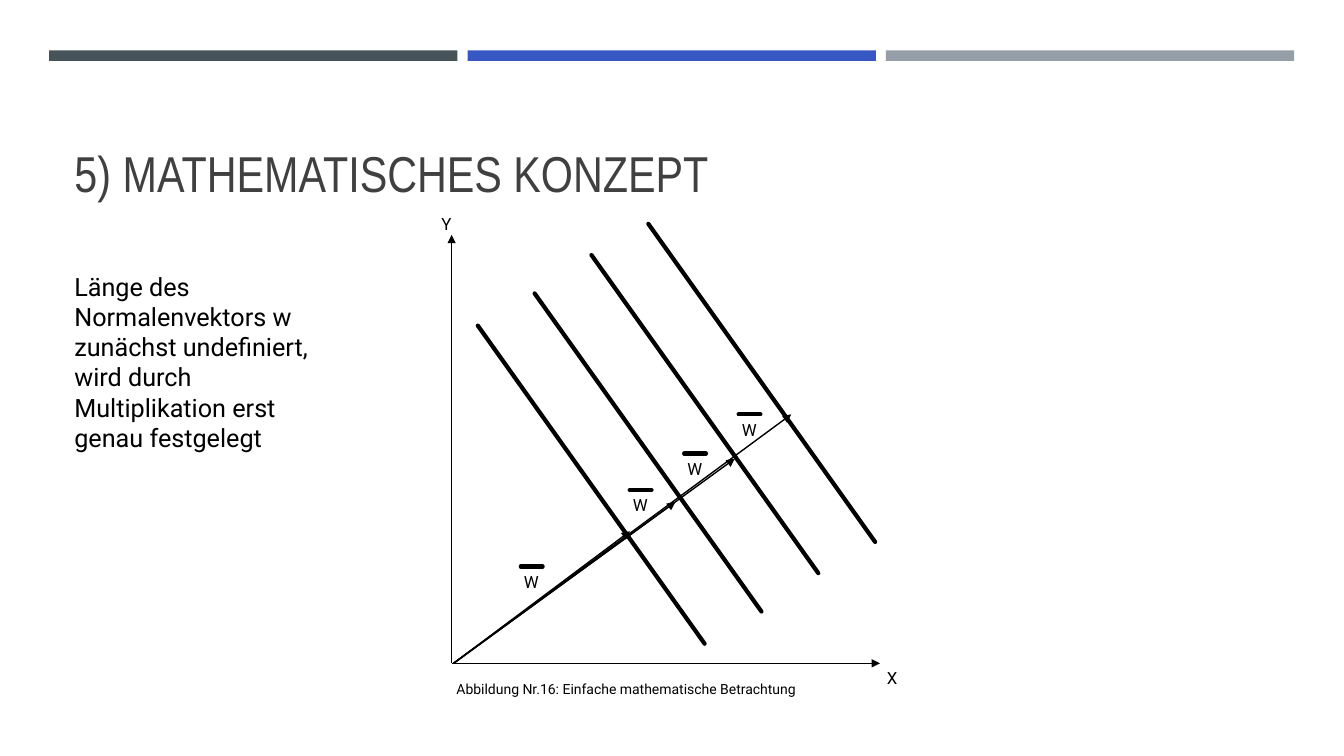
from lxml.etree import SubElement
from pptx import Presentation
from pptx.dml.color import RGBColor
from pptx.enum.shapes import MSO_CONNECTOR as Connector, MSO_SHAPE as Shape
from pptx.enum.text import MSO_ANCHOR as Anchor, MSO_AUTO_SIZE as AutoSize, PP_ALIGN as Align
from pptx.oxml.ns import qn
from pptx.util import Pt

COLORS = {"slate": "465359", "blue": "3758C4", "gray": "969FA7",
          "title": "404040", "ink": "000000"}
TITLE_FONT, BODY_FONT = "Arial Narrow", "Roboto"


def color(name):
    """Return the named palette colour."""
    return RGBColor.from_string(COLORS[name])


def add_text(slide, text, left, top, width, height, size):
    """Place a wrapped body text box."""
    box = slide.shapes.add_textbox(Pt(left), Pt(top), Pt(width), Pt(height))
    box.text_frame.word_wrap = True
    paragraph = box.text_frame.paragraphs[0]
    paragraph.text = text
    paragraph.font.name = BODY_FONT
    paragraph.font.size = Pt(size)
    paragraph.font.color.rgb = color("ink")


def add_line(slide, start, end, weight=1, arrow=False):
    """Draw a straight line, with a round cap or an arrowhead."""
    connector = slide.shapes.add_connector(
        Connector.STRAIGHT, *(Pt(value) for value in (*start, *end)))
    connector.line.color.rgb = color("ink")
    connector.line.width = Pt(weight)
    properties = connector._element.spPr
    line = properties.find(qn("a:ln"))
    if arrow:
        SubElement(line, qn("a:tailEnd"), type="triangle")
    else:
        line.set("cap", "rnd")
    SubElement(properties, qn("a:effectLst"))


def add_header_bars(slide, left, top, width, height):
    """Draw three equal bars across the header box."""
    gap = 7.2
    bar_width = (width - 2 * gap) / 3
    for index, name in enumerate(("slate", "blue", "gray")):
        bar = slide.shapes.add_shape(
            Shape.RECTANGLE, Pt(left + index * (bar_width + gap)), Pt(top),
            Pt(bar_width), Pt(height))
        bar.shadow.inherit = False
        bar.fill.solid()
        bar.fill.fore_color.rgb = color(name)
        bar.line.fill.background()


def add_title(slide, text, left, top, width, height):
    """Move and format the title placeholder."""
    title = slide.shapes.title
    title.left, title.top = Pt(left), Pt(top)
    title.width, title.height = Pt(width), Pt(height)
    frame = title.text_frame
    frame.text = text
    frame.word_wrap = True
    frame.auto_size = AutoSize.NONE
    frame.vertical_anchor = Anchor.BOTTOM
    paragraph = frame.paragraphs[0]
    paragraph.alignment = Align.LEFT
    paragraph.line_spacing = 0.9
    paragraph.font.name = TITLE_FONT
    paragraph.font.size = Pt(36)
    paragraph.font.color.rgb = color("title")


def add_diagram(slide, left, top, width, height):
    """Draw the axes, parallel lines and normal vectors in the box."""
    origin_x, origin_y = left + 14.4, top + height - 20.8
    axis_length = 306

    def at(x, y):
        """Convert axis coordinates to slide coordinates."""
        return origin_x + x, origin_y - y

    add_line(slide, at(0, 0), at(axis_length, 0), arrow=True)
    add_line(slide, at(0, 0), at(0, axis_length), arrow=True)
    add_text(slide, "Y", left, top, 22.3, 21.6, 12)
    add_text(slide, "X", left + width - 25.2, origin_y - 0.7, 25.2, 21.6, 12)

    for index, line_top in enumerate((241.2, 264.2, 291.6, 313.9)):
        x = 18.7 + index * 40.6
        add_line(slide, at(x, line_top), at(x + 162, line_top - 227.2), weight=3)

    for tip in ((127.4, 94.3), (159.8, 115.2), (202.3, 146.2), (242.6, 177.8)):
        add_line(slide, at(1.4, 0), at(*tip), arrow=True)

    for x, y in ((44.6, 69.1), (122.4, 123.8), (161.3, 149.8), (200.2, 177.8)):
        add_text(slide, "W", *at(x, y), 22.3, 21.6, 12)
        add_line(slide, at(x + 4.8, y), at(x + 20.4, y), weight=3)


def build_concept_slide(presentation):
    """Build the slide on the mathematical concept."""
    slide = presentation.slides.add_slide(presentation.slide_layouts[5])
    add_header_bars(slide, 35.2, 36, 889.3, 7.5)
    add_title(slide, "5) MATHEMATISCHES KONZEPT", 46, 55.4, 868.3, 93.6)
    add_text(slide, "Länge des Normalenvektors w zunächst undefiniert, wird durch "
             "Multiplikation erst genau festgelegt", 46, 190, 190, 160, 18)
    add_diagram(slide, 308.2, 149, 343.4, 345.6)
    add_text(slide, "Abbildung Nr.16: Einfache mathematische Betrachtung",
             319, 482.4, 520, 19.4, 10)


def main():
    """Create and save the presentation."""
    presentation = Presentation()
    presentation.slide_width, presentation.slide_height = Pt(960), Pt(540)
    build_concept_slide(presentation)
    presentation.save("out.pptx")


if __name__ == "__main__":
    main()
